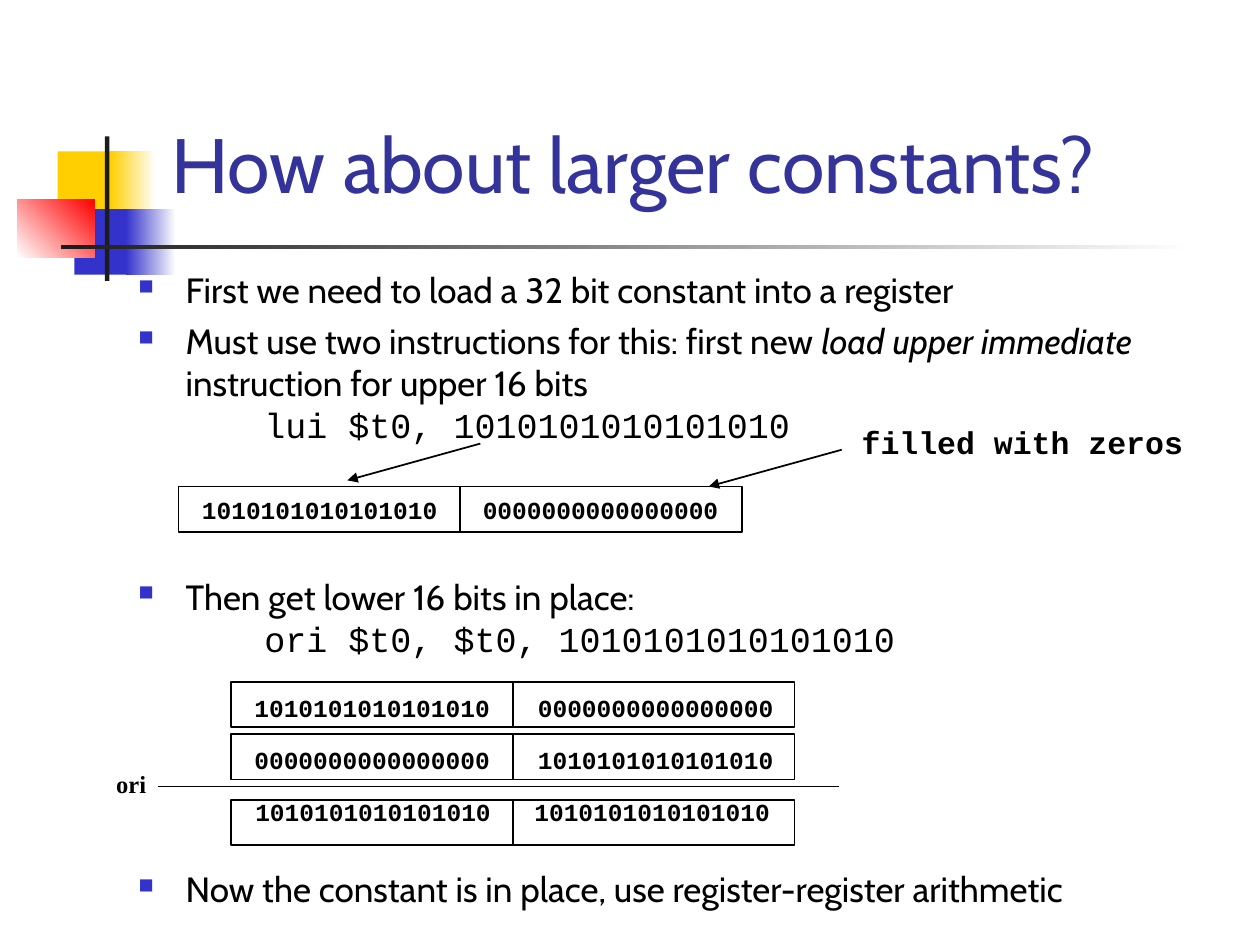
"""Builds the slide on loading larger constants with lui and ori."""
from lxml.etree import SubElement
from pptx import Presentation
from pptx.dml.color import RGBColor
from pptx.enum.shapes import MSO_CONNECTOR, MSO_SHAPE
from pptx.enum.text import MSO_ANCHOR, PP_ALIGN
from pptx.oxml.ns import qn
from pptx.util import Pt

SANS, MONO, SERIF = "Cabin", "Courier New", "Times New Roman"
BLACK, WHITE, DARK = "000000", "FFFFFF", "1C1C1C"
GOLD, BLUE, RED, NAVY = "FFCF01", "3333CC", "FF0000", "333399"
ONES, ZEROS = "10" * 8, "0" * 16


def tint(code):
    return RGBColor.from_string(code)


class Board:
    cell_w, cell_h = 161, 26

    def __init__(self, slide):
        self.slide = slide

    def block(self, x, y, w, h, fill=None, end=None, angle=0, line=None):
        box = self.slide.shapes.add_shape(
            MSO_SHAPE.RECTANGLE, Pt(x), Pt(y), Pt(w), Pt(h))
        box.shadow.inherit = False
        if end:
            box.fill.gradient()
            box.fill.gradient_angle = angle
            for stop, code in zip(box.fill.gradient_stops, (fill, end)):
                stop.color.rgb = tint(code)
        elif fill:
            box.fill.solid()
            box.fill.fore_color.rgb = tint(fill)
        else:
            box.fill.background()
        if line:
            box.line.color.rgb = tint(line)
            box.line.width = Pt(1)
        else:
            box.line.fill.background()

    def frame(self, x, y, w, h, side=7.2, top=3.6):
        frame = self.slide.shapes.add_textbox(
            Pt(x), Pt(y), Pt(w), Pt(h)).text_frame
        frame.word_wrap = True
        frame.margin_left = frame.margin_right = Pt(side)
        frame.margin_top = frame.margin_bottom = Pt(top)
        return frame

    def run(self, para, text, size, face, color=BLACK, bold=False, slant=False):
        run = para.add_run()
        run.text = text
        font = run.font
        font.size, font.name, font.bold, font.italic = Pt(size), face, bold, slant
        font.color.rgb = tint(color)

    def label(self, x, y, w, h, text, size, face, lead, align=PP_ALIGN.LEFT):
        para = self.frame(x, y, w, h, 1.4, 2.2).paragraphs[0]
        para.alignment = align
        para.line_spacing = Pt(lead)
        self.run(para, text, size, face, bold=True)

    def title(self, x, y, w, h, text):
        frame = self.frame(x, y, w, h)
        frame.vertical_anchor = MSO_ANCHOR.MIDDLE
        self.run(frame.paragraphs[0], text, 44, SANS, NAVY)

    def bullet(self, para):
        props = para._p.get_or_add_pPr()
        color = SubElement(props, qn("a:buClr"))
        SubElement(color, qn("a:srgbClr"), val=BLUE)
        SubElement(props, qn("a:buSzPct"), val="60000")
        SubElement(props, qn("a:buChar"), char="■")

    def body(self, x, y, w, h, items):
        frame = self.frame(x, y, w, h)
        for i, (gap, face, parts) in enumerate(items):
            para = frame.add_paragraph() if i else frame.paragraphs[0]
            para.space_before = Pt(gap)
            props = para._p.get_or_add_pPr()
            if face == SANS:
                props.set("marL", str(Pt(27)))
                props.set("indent", str(Pt(-27)))
                self.bullet(para)
            else:
                props.set("marL", str(Pt(72)))
            for text, slant in parts:
                self.run(para, text, 20, face, slant=slant)

    def line(self, x1, y1, x2, y2, arrow=False):
        link = self.slide.shapes.add_connector(
            MSO_CONNECTOR.STRAIGHT, Pt(x1), Pt(y1), Pt(x2), Pt(y2))
        link.line.color.rgb = tint(BLACK)
        link.line.width = Pt(1)
        if arrow:
            SubElement(link.line._ln, qn("a:tailEnd"), type="triangle")
        SubElement(link._element.spPr, qn("a:effectLst"))

    def word(self, x, y, halves, insets, drop=0):
        for i, (bits, inset) in enumerate(zip(halves, insets)):
            left = x + i * self.cell_w
            self.block(left, y, self.cell_w, self.cell_h, line=BLACK)
            self.label(left + inset, y + drop, 160, 42, bits, 14, MONO, 21)


def main():
    deck = Presentation()
    deck.slide_width, deck.slide_height = Pt(720), Pt(540)
    board = Board(deck.slides.add_slide(deck.slide_layouts[6]))

    board.block(33, 86.5, 35, 37.5, GOLD)
    board.block(63, 86.5, 26, 37.5, GOLD, WHITE)
    board.block(42.5, 119.5, 33, 37.5, BLUE)
    board.block(72, 119.5, 28.5, 37.5, BLUE, WHITE)
    board.block(10, 114, 44, 33, WHITE, RED, 45)
    board.block(60, 78, 2.5, 82.5, DARK)
    board.block(35, 140, 648, 2.5, DARK, WHITE)

    board.body(72, 150, 648, 390, [
        (0, SANS, [("First we need to load a 32 bit constant into a register", False)]),
        (5, SANS, [("Must use two instructions for this: first new ", False),
                   ("load upper immediate", True),
                   (" instruction for upper 16 bits", False)]),
        (0, MONO, [("lui $t0, " + ONES, False)]),
        (74, SANS, [("Then get lower 16 bits in place:", False)]),
        (0, MONO, [("ori $t0, $t0, " + ONES, False)]),
        (119, SANS, [("Now the constant is in place, use register-register arithmetic",
                      False)]),
    ])

    board.word(132, 389.5, (ONES, ZEROS), (12, 13))
    board.word(132, 419.5, (ZEROS, ONES), (12, 13))
    board.word(132, 457, (ONES, ONES), (12.5, 11), -8)
    board.line(90, 449.5, 479.5, 449.5)
    board.label(30, 438, 90, 26, "ori", 14, SERIF, 16, PP_ALIGN.CENTER)

    board.word(102, 278, (ONES, ZEROS), (12, 11.5), -1.5)
    board.line(274.5, 253.5, 198.5, 274.5, True)
    board.line(481, 257, 405, 278, True)
    board.label(491, 234, 200, 48, "filled with zeros", 18, MONO, 27)
    board.title(91, 48, 613, 90, "How about larger constants?")
    deck.save("out.pptx")


if __name__ == "__main__":
    main()
